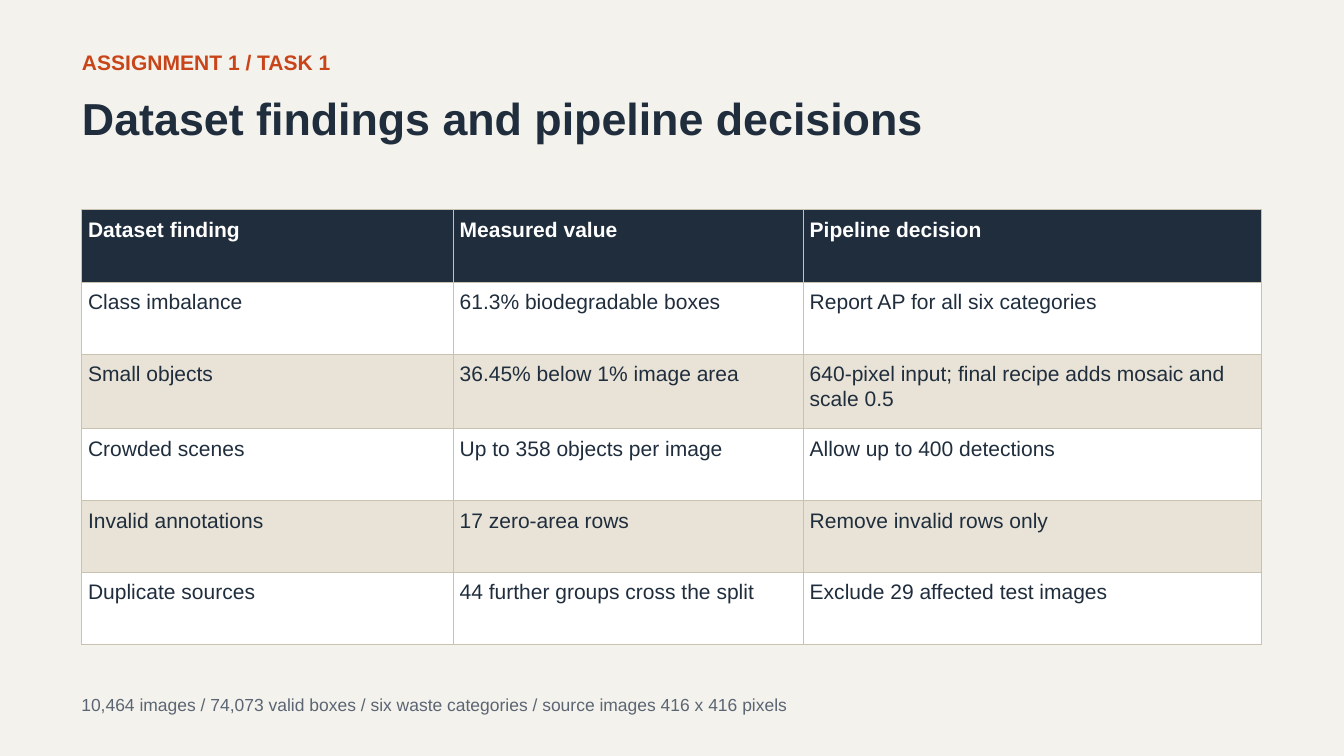
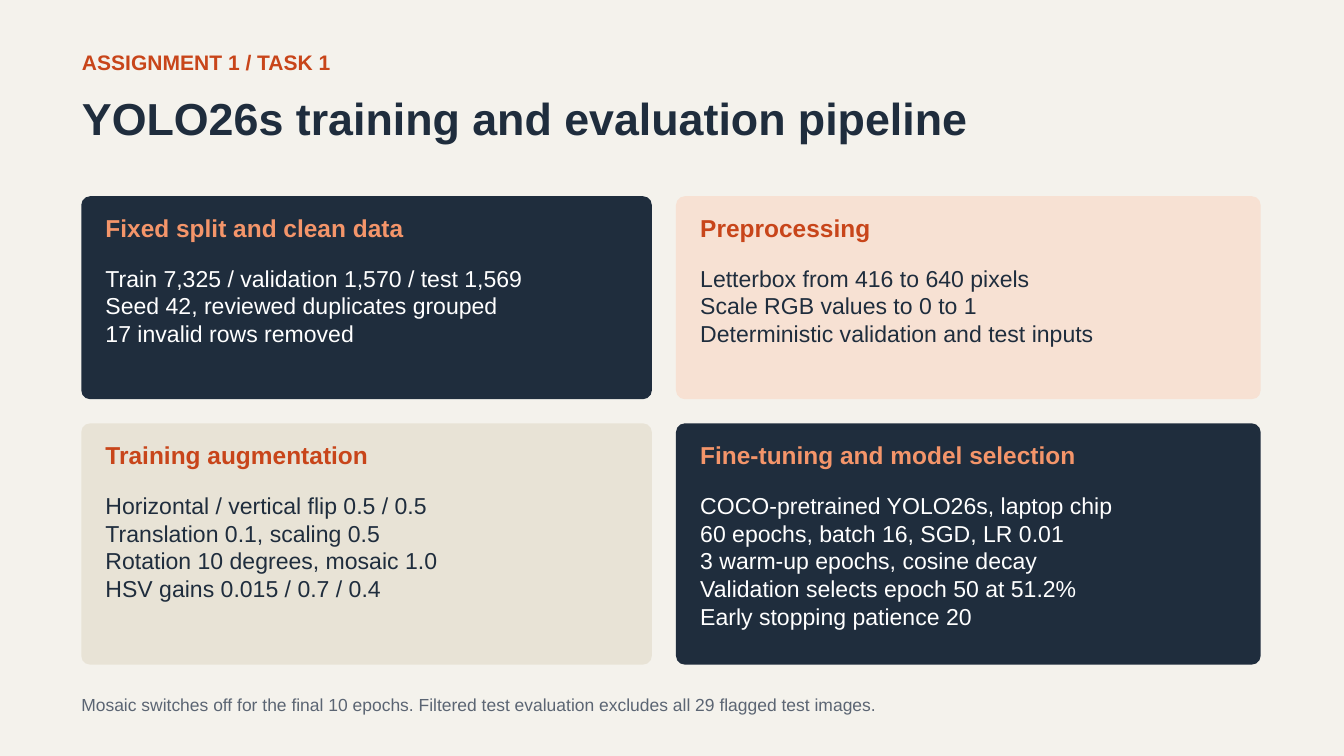
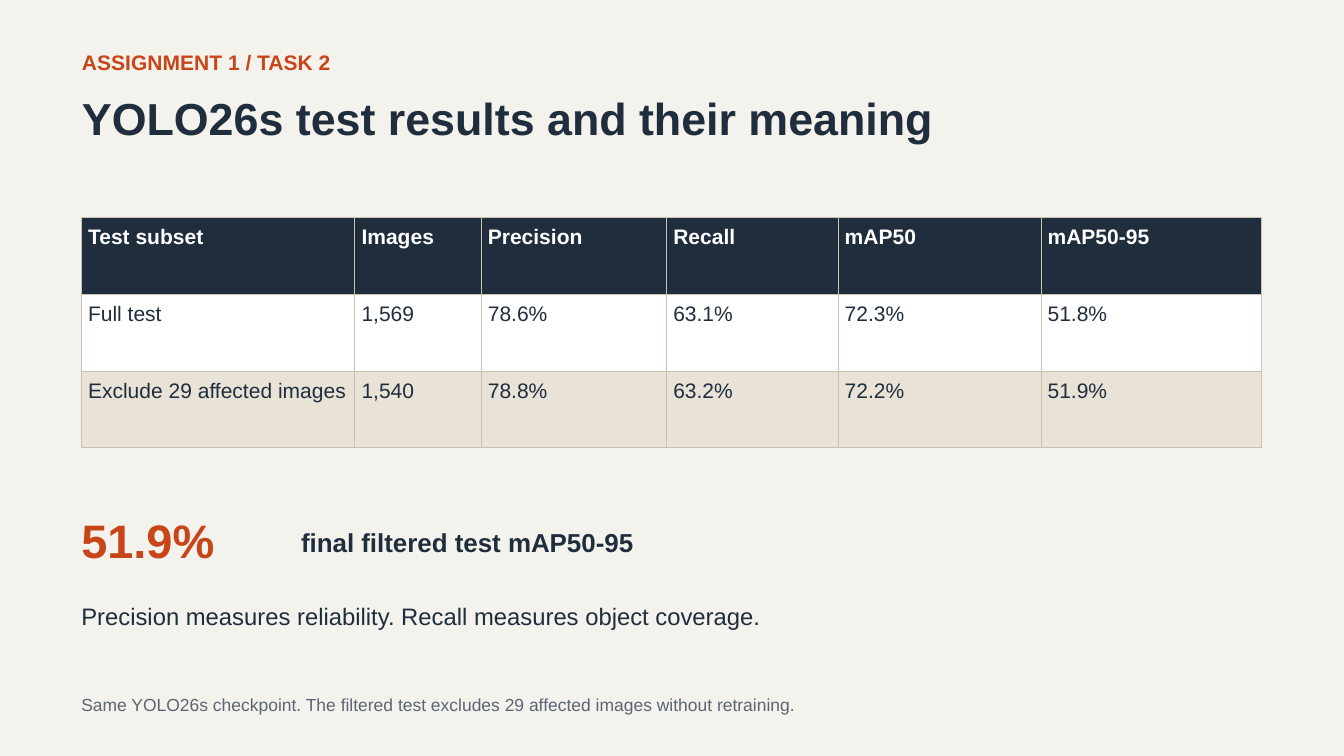
from dataclasses import dataclass
from itertools import accumulate
from lxml import etree
from pptx import Presentation, util as u
from pptx.dml.color import RGBColor
from pptx.enum import shapes, text
from pptx.oxml.ns import qn


@dataclass(frozen=True)
class Theme:
    font: str = "Arial"
    page: str = "F4F2EC"
    navy: str = "1F2D3D"
    rust: str = "C8451A"
    peach: str = "F4956A"
    blush: str = "F7E1D3"
    sand: str = "E8E3D6"
    white: str = "FFFFFF"
    grey: str = "5B6573"
    rule: str = "C9C2B0"
    title: float = 48
    big: float = 50.25
    label: float = 27.75
    head: float = 26.25
    lead: float = 25.5
    body: float = 24.75
    cell: float = 22.5
    foot: float = 18.75


T = Theme()
WIDE, HIGH = 20, 11.25
LEFT, SPAN = 1.21, 17.55
GAP, ROUND = 0.36, 0.13

FINDS = dict(
    task="ASSIGNMENT 1 / TASK 1",
    title="Dataset findings and pipeline decisions",
    foot="10,464 images / 74,073 valid boxes / six waste categories / source images 416 x 416 pixels",
    top=3.12,
    cols=[5.53, 5.21, 6.82],
    rows=[1.08, 1.07, 1.11, 1.07, 1.07, 1.07],
    cells=[
        ("Dataset finding", "Measured value", "Pipeline decision"),
        ("Class imbalance", "61.3% biodegradable boxes", "Report AP for all six categories"),
        ("Small objects", "36.45% below 1% image area",
         "640-pixel input; final recipe adds mosaic and scale 0.5"),
        ("Crowded scenes", "Up to 358 objects per image", "Allow up to 400 detections"),
        ("Invalid annotations", "17 zero-area rows", "Remove invalid rows only"),
        ("Duplicate sources", "44 further groups cross the split", "Exclude 29 affected test images"),
    ],
)

STEPS = dict(
    task="ASSIGNMENT 1 / TASK 1",
    title="YOLO26s training and evaluation pipeline",
    foot="Mosaic switches off for the final 10 epochs. "
         "Filtered test evaluation excludes all 29 flagged test images.",
    top=2.92,
    cols=[8.49, 8.7],
    rows=[3.02, 3.59],
    cards=[
        ("Fixed split and clean data", T.navy,
         ["Train 7,325 / validation 1,570 / test 1,569",
          "Seed 42, reviewed duplicates grouped",
          "17 invalid rows removed"]),
        ("Preprocessing", T.blush,
         ["Letterbox from 416 to 640 pixels",
          "Scale RGB values to 0 to 1",
          "Deterministic validation and test inputs"]),
        ("Training augmentation", T.sand,
         ["Horizontal / vertical flip 0.5 / 0.5",
          "Translation 0.1, scaling 0.5",
          "Rotation 10 degrees, mosaic 1.0",
          "HSV gains 0.015 / 0.7 / 0.4"]),
        ("Fine-tuning and model selection", T.navy,
         ["COCO-pretrained YOLO26s, laptop chip",
          "60 epochs, batch 16, SGD, LR 0.01",
          "3 warm-up epochs, cosine decay",
          "Validation selects epoch 50 at 51.2%",
          "Early stopping patience 20"]),
    ],
)

SCORES = dict(
    task="ASSIGNMENT 1 / TASK 2",
    title="YOLO26s test results and their meaning",
    foot="Same YOLO26s checkpoint. The filtered test excludes 29 affected images without retraining.",
    top=3.23,
    cols=[4.07, 1.88, 2.76, 2.55, 3.02, 3.28],
    rows=[1.15, 1.14, 1.14],
    cells=[
        ("Test subset", "Images", "Precision", "Recall", "mAP50", "mAP50-95"),
        ("Full test", "1,569", "78.6%", "63.1%", "72.3%", "51.8%"),
        ("Exclude 29 affected images", "1,540", "78.8%", "63.2%", "72.2%", "51.9%"),
    ],
    notes=[
        ("51.9%", (LEFT, 7.62, 2.92, 1.02), T.big, T.rust, True),
        ("final filtered test mAP50-95", (4.48, 7.84, 13.54, 0.65), T.label, T.navy, True),
        ("Precision measures reliability. Recall measures object coverage.",
         (LEFT, 8.95, SPAN, 0.69), T.lead, T.navy, False),
    ],
)


def rgb(tone):
    return RGBColor.from_string(tone)


def inch(box):
    return [u.Inches(n) for n in box]


def write(frame, lines, size, tone, bold=False, lead=1.2):
    for i, line in enumerate(lines):
        para = frame.paragraphs[0] if i == 0 else frame.add_paragraph()
        para.line_spacing = u.Pt(size * lead)
        run = para.add_run()
        run.text = line
        font = run.font
        font.name, font.size, font.bold = T.font, u.Pt(size), bold
        font.color.rgb = rgb(tone)


def label(slide, lines, box, *style):
    frame = slide.shapes.add_textbox(*inch(box)).text_frame
    frame.margin_left = frame.margin_top = frame.margin_right = frame.margin_bottom = 0
    frame.word_wrap = True
    frame.auto_size = text.MSO_AUTO_SIZE.SHAPE_TO_FIT_TEXT
    write(frame, lines, *style)


def edge(cell):
    props = cell._tc.get_or_add_tcPr()
    for side in "LRTB":
        line = etree.SubElement(props, qn(f"a:ln{side}"), w=str(u.Pt(0.75)))
        fill = etree.SubElement(line, qn("a:solidFill"))
        etree.SubElement(fill, qn("a:srgbClr"), val=T.rule)


def grid(slide, data):
    cols, rows = data["cols"], data["rows"]
    box = inch((LEFT, data["top"], sum(cols), sum(rows)))
    table = slide.shapes.add_table(len(rows), len(cols), *box).table
    table.first_row = table.horz_banding = False
    for col, wide in zip(table.columns, cols):
        col.width = u.Inches(wide)
    for r, (row, high) in enumerate(zip(table.rows, rows)):
        row.height = u.Inches(high)
        back = T.navy if r == 0 else (T.sand, T.white)[r % 2]
        for cell, words in zip(row.cells, data["cells"][r]):
            cell.margin_left = cell.margin_right = u.Inches(0.1)
            cell.margin_top = cell.margin_bottom = u.Inches(0.1)
            edge(cell)
            cell.fill.solid()
            cell.fill.fore_color.rgb = rgb(back)
            write(cell.text_frame, [words], T.cell, T.navy if r else T.white, r == 0)


def card(slide, box, head, back, lines):
    x, y, w, h = box
    shape = slide.shapes.add_shape(shapes.MSO_SHAPE.ROUNDED_RECTANGLE, *inch(box))
    shape.adjustments[0] = ROUND / min(w, h)
    shape.shadow.inherit = False
    shape.fill.solid()
    shape.fill.fore_color.rgb = rgb(back)
    shape.line.fill.background()
    tint, ink = (T.peach, T.white) if back == T.navy else (T.rust, T.navy)
    left, wide = x + GAP, w - 2 * GAP
    label(slide, [head], (left, y + 0.25, wide, 0.58), T.head, tint, True)
    label(slide, lines, (left, y + 1.01, wide, h - 1.16), T.body, ink)


def starts(first, sizes):
    return list(accumulate((n + GAP for n in sizes[:-1]), initial=first))


def cards(slide, data):
    cols, rows = data["cols"], data["rows"]
    lefts, tops = starts(LEFT, cols), starts(data["top"], rows)
    for i, part in enumerate(data["cards"]):
        r, c = divmod(i, len(cols))
        card(slide, (lefts[c], tops[r], cols[c], rows[r]), *part)


def build(deck, data):
    slide = deck.slides.add_slide(deck.slide_layouts[6])
    back = slide.background.fill
    back.solid()
    back.fore_color.rgb = rgb(T.page)
    label(slide, [data["task"]], (1.22, 0.73, 17.82, 0.4), T.cell, T.rust, True)
    label(slide, [data["title"]], (1.22, 1.25, 17.82, 0.99), T.title, T.navy, True, 1.35)
    if "cells" in data:
        grid(slide, data)
    if "cards" in data:
        cards(slide, data)
    for words, box, *style in data.get("notes", []):
        label(slide, [words], box, *style)
    label(slide, [data["foot"]], (LEFT, 10.33, SPAN, 0.57), T.foot, T.grey)


def main():
    deck = Presentation()
    deck.slide_width, deck.slide_height = inch((WIDE, HIGH))
    for data in (FINDS, STEPS, SCORES):
        build(deck, data)
    deck.save("out.pptx")


if __name__ == "__main__":
    main()
